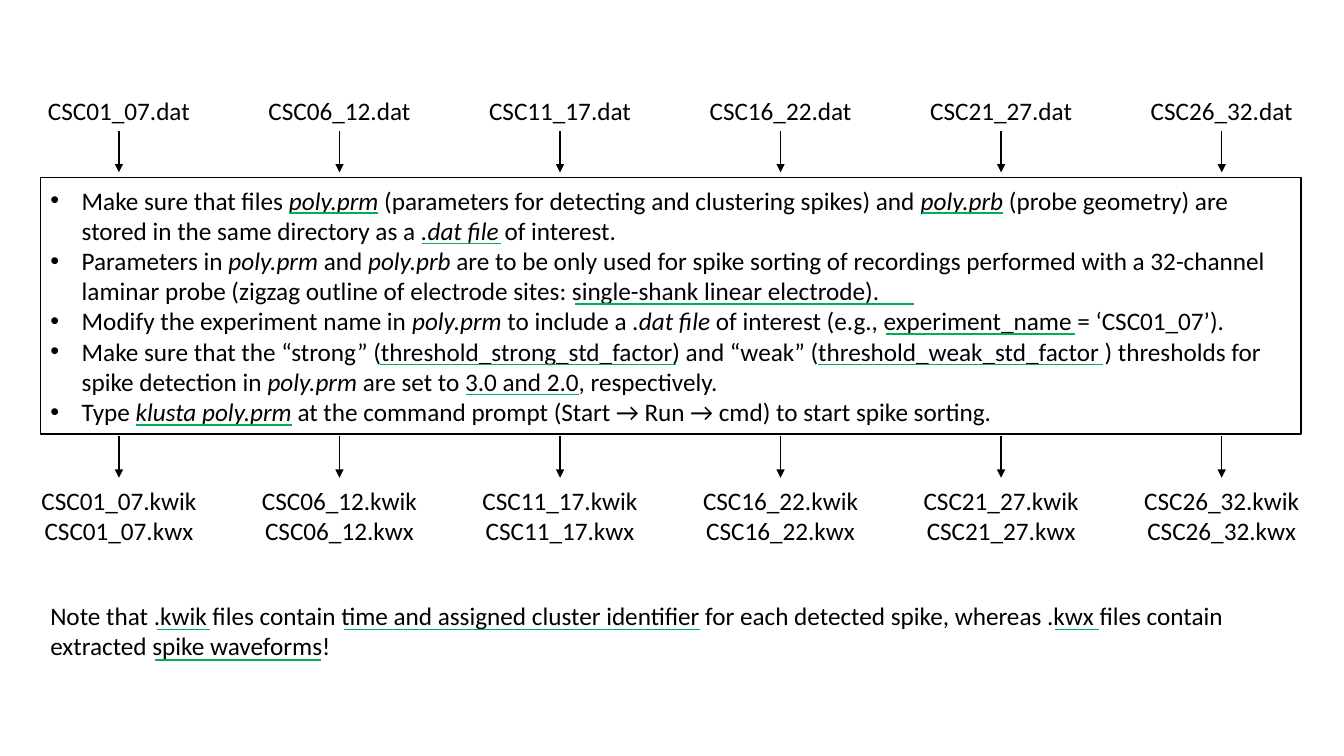
import pptx
import pptx.util
import pptx.dml.color
import pptx.enum.shapes
import pptx.enum.text
import pptx.oxml.ns
import lxml.etree

BLACK = pptx.dml.color.RGBColor(0, 0, 0)
GREEN = pptx.dml.color.RGBColor(0, 176, 80)
SHAPE = pptx.enum.shapes.MSO_SHAPE
ALIGN = pptx.enum.text.PP_ALIGN
LEFT, MID = ALIGN.LEFT, ALIGN.CENTER
TOP = pptx.enum.text.MSO_ANCHOR.TOP
CORE = pptx.enum.text.MSO_ANCHOR.MIDDLE
qn = pptx.oxml.ns.qn

deck = pptx.Presentation()
deck.slide_width = pptx.util.Inches(13.33)
deck.slide_height = pptx.util.Inches(7.5)
slide = deck.slides.add_slide(deck.slide_layouts[6])
col = deck.slide_width / 100
row = deck.slide_height / 100


def write(text, x, y, wide, high, align=LEFT, anchor=TOP, frame=False, indent=0):
    spot = [round(v) for v in (x * col, y * row, wide * col, high * row)]
    if frame:
        box = slide.shapes.add_shape(SHAPE.RECTANGLE, *spot)
        box.shadow.inherit = False
        box.fill.background()
        box.line.color.rgb = BLACK
        box.line.width = pptx.util.Pt(1)
    else:
        box = slide.shapes.add_textbox(*spot)
    body = box.text_frame
    body.word_wrap = True
    body.vertical_anchor = anchor
    for n, line in enumerate(text.split("\n")):
        para = body.paragraphs[0] if n == 0 else body.add_paragraph()
        para.alignment = align
        if indent:
            props = para._p.get_or_add_pPr()
            props.set("marL", str(round(indent * col)))
            props.set("indent", str(round(-indent * col)))
            lxml.etree.SubElement(props, qn("a:buFont")).set("typeface", "Arial")
            lxml.etree.SubElement(props, qn("a:buChar")).set("char", "•")
        for k, part in enumerate(line.split("*")):
            if part:
                run = para.add_run()
                run.text = part
                run.font.name = "Calibri"
                run.font.size = pptx.util.Pt(18)
                run.font.color.rgb = BLACK
                run.font.italic = k % 2 == 1


def draw(x1, y1, x2, y2, tone, arrow=False):
    ends = [round(v) for v in (x1 * col, y1 * row, x2 * col, y2 * row)]
    line = slide.shapes.add_connector(pptx.enum.shapes.MSO_CONNECTOR.STRAIGHT, *ends)
    line.line.color.rgb = tone
    line.line.width = pptx.util.Pt(1)
    if arrow:
        stroke = line.line._get_or_add_ln()
        lxml.etree.SubElement(stroke, qn("a:tailEnd")).set("type", "triangle")
    lxml.etree.SubElement(line._element.spPr, qn("a:effectLst"))


files = ["CSC01_07", "CSC06_12", "CSC11_17", "CSC16_22", "CSC21_27", "CSC26_32"]
wide = 16.4
for n, name in enumerate(files):
    mid = 8.85 + 16.41 * n
    write(f"{name}.dat", mid - wide / 2, 12, wide, 5.3, align=MID)
    write(f"{name}.kwik\n{name}.kwx", mid - wide / 2, 63.5, wide, 9.5, align=MID)
    for top in (17.3, 57.7):
        draw(mid, top, mid, top + 5.5, BLACK, arrow=True)

steps = [
    "Make sure that files *poly.prm* (parameters for detecting and clustering spikes) "
    "and *poly.prb* (probe geometry) are stored in the same directory as a "
    "*.dat file* of interest.",
    "Parameters in *poly.prm* and *poly.prb* are to be only used for spike sorting of "
    "recordings performed with a 32-channel laminar probe (zigzag outline of electrode "
    "sites: single-shank linear electrode).",
    "Modify the experiment name in *poly.prm* to include a *.dat file* of interest "
    "(e.g., experiment_name = ‘CSC01_07’).",
    "Make sure that the “strong” (threshold_strong_std_factor) and “weak” "
    "(threshold_weak_std_factor ) thresholds for spike detection in *poly.prm* are set "
    "to 3.0 and 2.0, respectively.",
    "Type *klusta poly.prm* at the command prompt (Start → Run → cmd) to start spike "
    "sorting.",
]
write("\n".join(steps), 3, 23.5, 93.8, 33.9, anchor=CORE, frame=True, indent=2.34)
write(
    "Note that .kwik files contain time and assigned cluster identifier for each detected "
    "spike, whereas .kwx files contain extracted spike waveforms!",
    3, 78.8, 93.8, 9.2, anchor=CORE,
)

pitch = 4
marks = [
    (28.2, [
        [(21.5, 28.1), (68.6, 74.6)],
        [(31.4, 37.3)],
        [],
        [(42.8, 68)],
        [(65.9, 80)],
        [(28.3, 50.3), (60.9, 82.1)],
        [(34.7, 43.1)],
        [(10.1, 21.7)],
    ]),
    (83.3, [
        [(11.7, 15.6), (25.6, 52.1), (78.5, 81.8)],
        [(11.5, 23.9)],
    ]),
]
for base, lines in marks:
    for n, spans in enumerate(lines):
        for start, end in spans:
            draw(start, base + n * pitch, end, base + n * pitch, GREEN)

deck.save("out.pptx")
